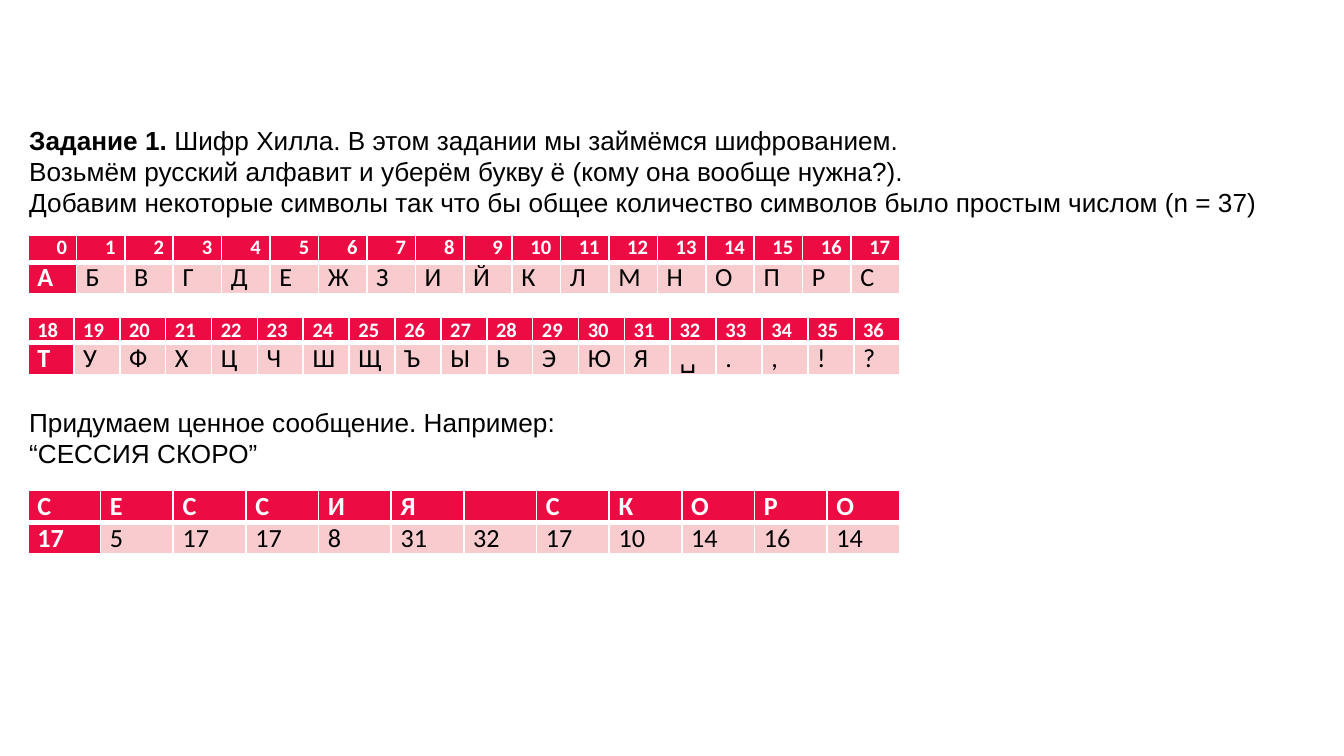
from collections import namedtuple
from dataclasses import dataclass

import pptx
import pptx.dml.color
import pptx.enum.text
import pptx.oxml.ns
import pptx.util
from lxml import etree

Pt = pptx.util.Pt
RGB = pptx.dml.color.RGBColor.from_string
ALIGN = pptx.enum.text.PP_ALIGN
ANCHOR = pptx.enum.text.MSO_ANCHOR
Box = namedtuple("Box", "left top width height")


@dataclass(frozen=True)
class Theme:
    """Colours, fonts and type sizes of the slide."""
    accent: str = "EC0B43"
    tint: str = "F8CCCF"
    paper: str = "FFFFFF"
    ink: str = "000000"
    text_font: str = "Arial"
    table_font: str = "Calibri"
    size: int = 14
    index_size: int = 11


THEME = Theme()


def apply(target, values):
    """Set every attribute of the target from a dict of values."""
    for attribute, value in values.items():
        setattr(target, attribute, value)


def add_run(paragraph, wording, colour, **values):
    """Add one formatted run to the paragraph."""
    run = paragraph.add_run()
    run.text = wording
    apply(run.font, values)
    run.font.color.rgb = RGB(colour)


def draw_borders(cell, widths):
    """Draw the cell's borders from a dict of side letters and widths."""
    properties = cell._tc.get_or_add_tcPr()
    qn = pptx.oxml.ns.qn
    for side, width in widths.items():
        line = etree.SubElement(properties, qn(f"a:ln{side}"), w=str(Pt(width)))
        fill = etree.SubElement(line, qn("a:solidFill"))
        etree.SubElement(fill, qn("a:srgbClr"), val=THEME.paper)


def fill_cell(cell, wording, highlighted, size, align, anchor, borders):
    """Format one table cell and write its symbol or number."""
    apply(cell, {
        "margin_left": Pt(5), "margin_right": Pt(5),
        "margin_top": 0, "margin_bottom": 0, "vertical_anchor": anchor,
    })
    draw_borders(cell, borders)
    cell.fill.solid()
    cell.fill.fore_color.rgb = RGB(THEME.accent if highlighted else THEME.tint)
    paragraph = cell.text_frame.paragraphs[0]
    apply(paragraph, {"alignment": align, "space_after": Pt(8)})
    if wording:
        add_run(paragraph, wording, THEME.paper if highlighted else THEME.ink,
                name=THEME.table_font, size=Pt(size), bold=highlighted)
    else:
        end = paragraph._p.get_or_add_endParaRPr()
        end.set("sz", str(size * 100))
        etree.SubElement(end, pptx.oxml.ns.qn("a:latin"), typeface=THEME.table_font)


def add_code_table(slide, box, header, values, row_heights,
                   header_size=THEME.index_size, header_align=ALIGN.JUSTIFY,
                   header_anchor=ANCHOR.TOP):
    """Place a two-row table with a highlighted header and first column."""
    table = slide.shapes.add_table(2, len(header), *map(Pt, box)).table
    apply(table, {"first_row": True, "first_col": True, "horz_banding": False})
    for column in table.columns:
        column.width = Pt(box.width / len(header))
    for row, height in zip(table.rows, row_heights):
        row.height = Pt(height)
    header_format = {"size": header_size, "align": header_align, "anchor": header_anchor,
                     "borders": {"L": 1, "R": 1, "T": 1, "B": 3}}
    value_format = {"size": THEME.size, "align": ALIGN.JUSTIFY, "anchor": ANCHOR.TOP,
                    "borders": {"L": 1, "R": 1, "T": 3, "B": 1}}
    for column, (heading, value) in enumerate(zip(header, values)):
        fill_cell(table.cell(0, column), heading, True, **header_format)
        fill_cell(table.cell(1, column), value, column == 0, **value_format)


def add_task_text(slide, box, paragraphs):
    """Place the task wording, given as (space before, [(text, bold)])."""
    frame = slide.shapes.add_textbox(*map(Pt, box)).text_frame
    apply(frame, {"word_wrap": True, "vertical_anchor": ANCHOR.MIDDLE})
    for number, (gap, runs) in enumerate(paragraphs):
        paragraph = frame.add_paragraph() if number else frame.paragraphs[0]
        apply(paragraph, {"alignment": ALIGN.JUSTIFY, "line_spacing": Pt(16.6)})
        if gap:
            paragraph.space_before = Pt(gap)
        for wording, bold in runs:
            add_run(paragraph, wording, THEME.ink, name=THEME.text_font,
                    size=Pt(THEME.size), bold=bold)


def build_cipher_slide(slide, box):
    """Lay out the Hill cipher task with its alphabet and message tables."""
    alphabet = "АБВГДЕЖЗИЙКЛМНОПРСТУФХЦЧШЩЪЫЬЭЮЯ␣.,!?"
    indices = [str(index) for index in range(len(alphabet))]
    split = 18
    message = ["C", "E", "C", "C", "И", "Я", "", "С", "К", "О", "Р", "О"]
    message_codes = "17 5 17 17 8 31 32 17 10 14 16 14".split()

    def table_box(top, height):
        return Box(box.left + 15, box.top + top, 467.3, height)

    add_code_table(slide, table_box(126, 31.4), indices[:split], alphabet[:split],
                   (14.4, 17), header_align=ALIGN.RIGHT)
    add_code_table(slide, table_box(170, 30.4), indices[split:], alphabet[split:],
                   (13.4, 17), header_anchor=ANCHOR.BOTTOM)
    add_code_table(slide, table_box(262.8, 34), message, message_codes,
                   (17, 17), header_size=THEME.size)
    add_task_text(slide, Box(box.left + 8.6, box.top + 62, 692, 193.7), [
        (0, [("Задание 1. ", True),
             ("Шифр Хилла. В этом задании мы займёмся шифрованием.", False)]),
        (0, [("Возьмём русский алфавит и уберём букву ё (кому она вообще нужна?).", False)]),
        (0, [("Добавим некоторые символы так что бы общее количество символов "
              "было простым числом (n = 37)", False)]),
        (101.3, [("Придумаем ценное сообщение. Например:", False)]),
        (0, [("“СЕССИЯ СКОРО”", False)]),
    ])


def main():
    """Build and save the presentation."""
    presentation = pptx.Presentation()
    page = Box(0, 0, 720, 405)
    apply(presentation, {"slide_width": Pt(page.width), "slide_height": Pt(page.height)})
    slide = presentation.slides.add_slide(presentation.slide_layouts[6])
    build_cipher_slide(slide, page)
    presentation.save("out.pptx")


if __name__ == "__main__":
    main()
